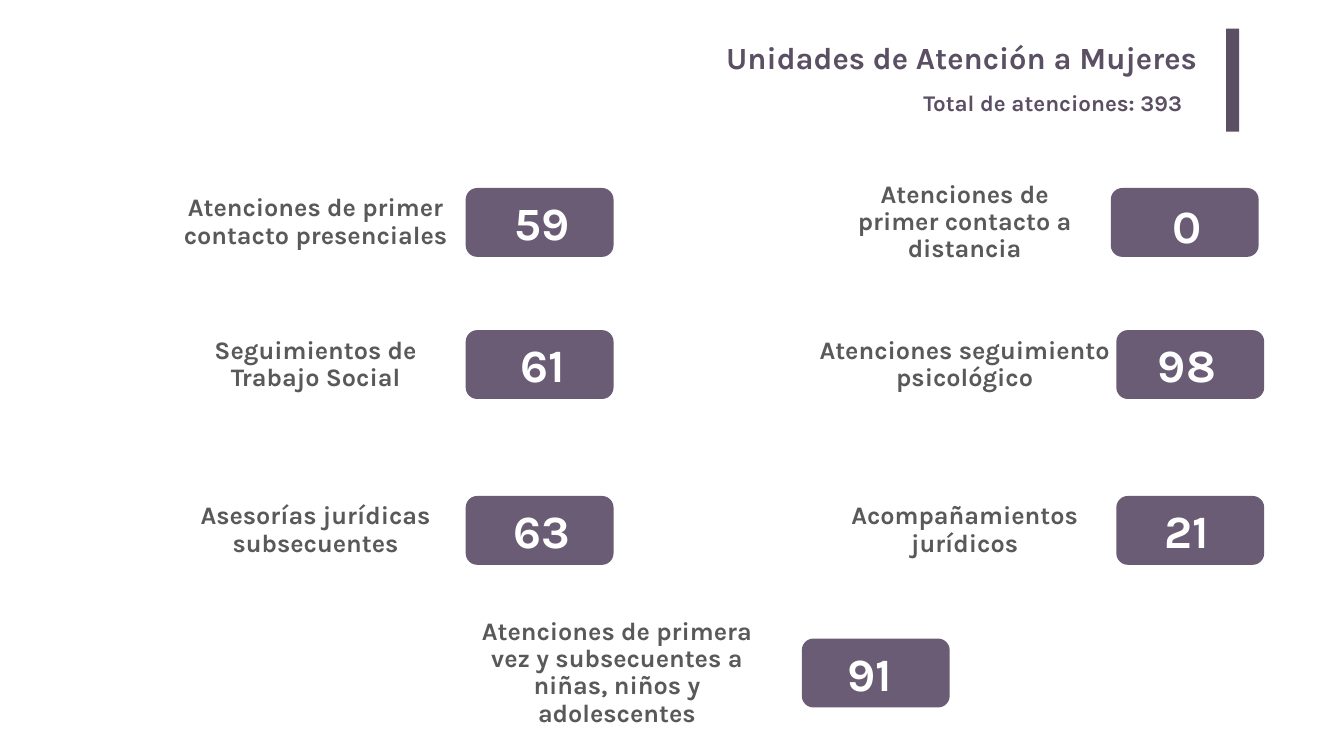
import pptx
import pptx.dml.color
import pptx.enum.shapes
import pptx.enum.text
import pptx.util

COLUMNS, ROWS = 80, 45
BADGE_WIDTH, BADGE_HEIGHT = 8.8, 4.1
NUMBER_WIDTH, NUMBER_HEIGHT = 6.12, 3.63
PLUM, MAUVE, GREY, WHITE = "5B4F63", "6A5C74", "595959", "FFFFFF"
ALIGN = pptx.enum.text.PP_ALIGN
SHAPES = pptx.enum.shapes.MSO_SHAPE


def color(value):
    return pptx.dml.color.RGBColor.from_string(value)


class Board:
    """Holds the style and the current page, measured in grid columns and rows."""

    def __init__(self, deck, font="Karla"):
        self.page = deck.slides.add_slide(deck.slide_layouts[6])
        self.font = font
        self.column = deck.slide_width / COLUMNS
        self.row = deck.slide_height / ROWS

    def area(self, left, top, width, height):
        return (round(left * self.column), round(top * self.row),
                round(width * self.column), round(height * self.row))

    def shape(self, kind, area, fill):
        shape = self.page.shapes.add_shape(kind, *self.area(*area))
        shape.shadow.inherit = False
        shape.fill.solid()
        shape.fill.fore_color.rgb = color(fill)
        shape.line.fill.background()
        return shape

    def text(self, words, area, size, fill, align=ALIGN.CENTER, spacing=None,
             middle=False, grow=False, inset=0.1):
        box = self.page.shapes.add_textbox(*self.area(*area))
        frame = box.text_frame
        frame.word_wrap = True
        frame.margin_left = frame.margin_right = pptx.util.Inches(inset)
        frame.margin_top = frame.margin_bottom = pptx.util.Inches(inset / 2)
        if middle:
            frame.vertical_anchor = pptx.enum.text.MSO_ANCHOR.MIDDLE
        if grow:
            frame.auto_size = pptx.enum.text.MSO_AUTO_SIZE.SHAPE_TO_FIT_TEXT
        frame.text = words
        para = frame.paragraphs[0]
        para.alignment = align
        if spacing:
            para.line_spacing = spacing
        span = para.runs[0].font
        span.name, span.size, span.bold = self.font, pptx.util.Pt(size), True
        span.color.rgb = color(fill)

    def label(self, words, center, middle, width, height):
        area = (center - width / 2, middle - height / 2, width, height)
        self.text(words, area, 36, GREY, spacing=0.9, middle=True)

    def badge(self, left, top):
        area = (left, top, BADGE_WIDTH, BADGE_HEIGHT)
        self.shape(SHAPES.ROUNDED_RECTANGLE, area, MAUVE).adjustments[0] = 0.167

    def number(self, words, left, top):
        area = (left, top, NUMBER_WIDTH, NUMBER_HEIGHT)
        self.text(words, area, 66, WHITE, grow=True)


def main():
    deck = pptx.Presentation()
    deck.slide_width = pptx.util.Inches(26.67)
    deck.slide_height = pptx.util.Inches(15)
    board = Board(deck)

    board.text("Unidades de Atención a Mujeres", (10.98, 2.01, 60.9, 3.06),
               44, PLUM, align=ALIGN.RIGHT, inset=0.2)
    board.shape(SHAPES.RECTANGLE, (72.98, 1.71, 0.78, 6.12), PLUM)
    board.text("Total de atenciones: 393", (54.66, 5.13, 17.76, 1.92),
               32, PLUM, align=ALIGN.LEFT, grow=True)

    tops = [11.19, 19.65, 29.52, 38.01]
    label_centers = {"left": 18.78, "right": 57.42, "middle": 36.72}
    number_lefts = {"left": 29.22, "right": 67.59, "middle": 48.72}
    badge_lefts = {"left": 27.72, "right": 66.45, "middle": 47.73}
    services = [
        ("Atenciones de primer contacto presenciales", "59", "left", 0, 16.44, 4.1),
        ("Atenciones de primer contacto a distancia", "0", "right", 0, 15.48, 3.63),
        ("Seguimientos de Trabajo Social", "61", "left", 1, 16.74, 4.23),
        ("Atenciones seguimiento psicológico", "98", "right", 1, 23.43, 1.59),
        ("Asesorías jurídicas subsecuentes", "63", "left", 2, 18.15, 2.4),
        ("Acompañamientos jurídicos", "21", "right", 2, 19.38, 1.92),
        ("Atenciones de primera vez y subsecuentes a niñas, niños y adolescentes",
         "91", "middle", 3, 18, 1.47),
    ]
    for words, count, side, line, width, height in services:
        top = tops[line]
        remote = count == "0"
        board.badge(badge_lefts[side] - (0.33 if remote else 0), top)
        board.label(words, label_centers[side], top + BADGE_HEIGHT / 2, width, height)
        board.number(count, number_lefts[side], top + (0.39 if remote else 0.23))

    deck.save("out.pptx")


if __name__ == "__main__":
    main()
